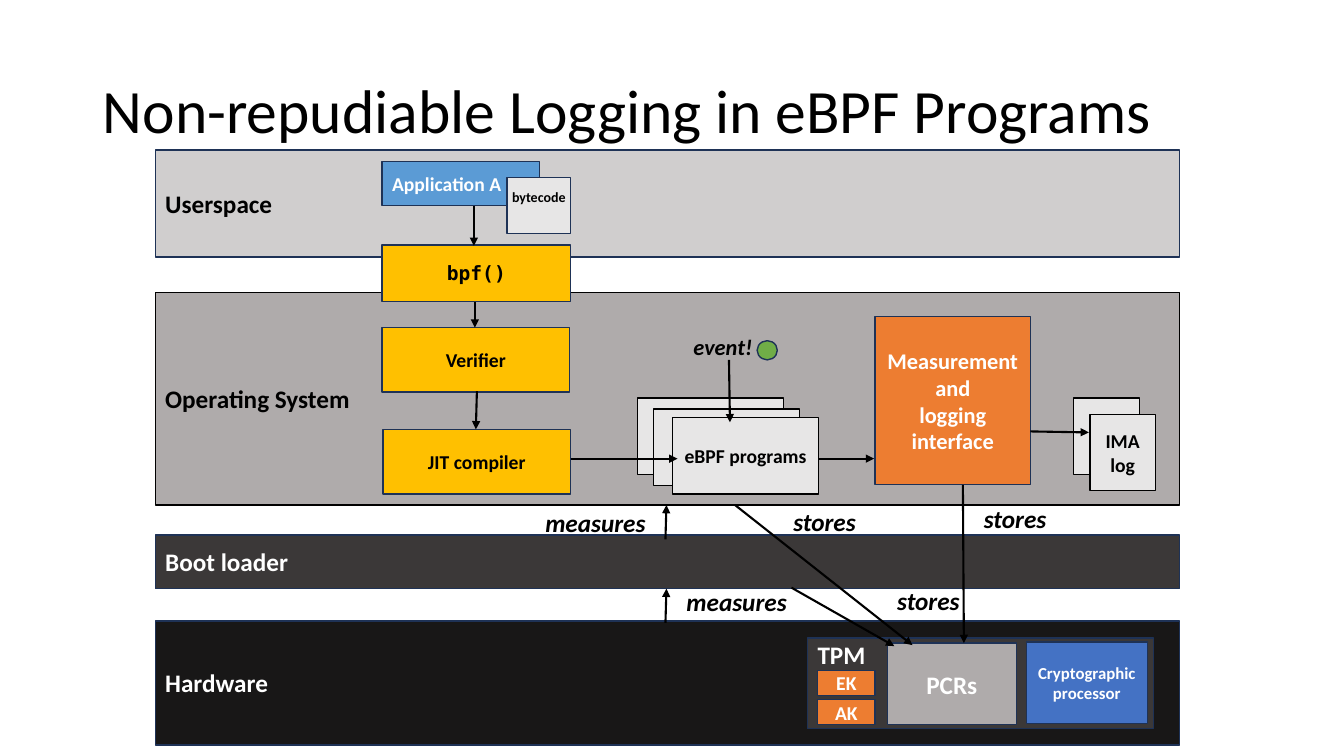
from lxml import etree
from pptx import Presentation
from pptx import util as u
from pptx.dml.color import RGBColor
from pptx.enum import shapes, text
from pptx.oxml.ns import qn

HUES = {
    "black": "000000", "white": "FFFFFF", "navy": "1E3256",
    "ink": "181717", "coal": "3B3838", "gray": "AFABAB",
    "mist": "D0CECE", "pale": "E7E6E6", "gold": "FFC000",
    "sky": "5B9BD5", "blue": "4472C4", "rust": "ED7D31", "green": "70AD47",
}
LEFT, MID = text.PP_ALIGN.LEFT, text.PP_ALIGN.CENTER


def hue(name):
    return RGBColor.from_string(HUES[name])


def write(frame, words, size=18, color="black", bold=True, italic=False,
          font="Calibri", align=LEFT, space=None):
    """Fill a text frame, one paragraph for each line of words."""
    frame.word_wrap = True
    for i, line in enumerate(words.split("\n")):
        para = frame.add_paragraph() if i else frame.paragraphs[0]
        para.alignment = align
        if space:
            para.line_spacing = space
        run = para.add_run()
        run.text = line
        face = run.font
        face.name, face.size = font, u.Pt(size)
        face.bold, face.italic = bold, italic
        face.color.rgb = hue(color)


class Deck:
    def __init__(self, wide, high):
        self.pres = Presentation()
        self.pres.slide_width = u.Inches(wide)
        self.pres.slide_height = u.Inches(high)
        self.slide = self.pres.slides.add_slide(self.pres.slide_layouts[5])
        self.items = self.slide.shapes

    def title(self, words, *at):
        head = self.items.title
        head.left, head.top, head.width, head.height = map(u.Inches, at)
        head.text_frame.auto_size = text.MSO_AUTO_SIZE.NONE
        head.text_frame.vertical_anchor = text.MSO_ANCHOR.MIDDLE
        write(head.text_frame, words, size=44, bold=False, space=0.9)

    def box(self, at, fill, words="", edge="navy", kind="RECTANGLE", **form):
        item = self.items.add_shape(shapes.MSO_SHAPE[kind], *map(u.Inches, at))
        item.shadow.inherit = False
        item.fill.solid()
        item.fill.fore_color.rgb = hue(fill)
        item.line.color.rgb = hue(edge)
        item.line.width = u.Pt(1)
        if words:
            item.text_frame.vertical_anchor = text.MSO_ANCHOR.MIDDLE
            write(item.text_frame, words, **{"align": MID, "size": 14, **form})

    def label(self, at, words, **form):
        item = self.items.add_textbox(*map(u.Inches, at))
        write(item.text_frame, words, **form)

    def arrow(self, *ends):
        item = self.items.add_connector(
            shapes.MSO_CONNECTOR.STRAIGHT, *map(u.Inches, ends))
        item.line.color.rgb = hue("black")
        item.line.width = u.Pt(1.5)
        etree.SubElement(item.line._get_or_add_ln(), qn("a:tailEnd"),
                         type="triangle")
        etree.SubElement(item._element.spPr, qn("a:effectLst"))


def layers(deck):
    for top, high, fill, words, color, edge in [
        (6.16, 1.23, "ink", "Hardware", "white", "navy"),
        (2.9, 2.11, "gray", "Operating System", "black", "black"),
        (1.49, 1.06, "mist", "Userspace", "black", "navy"),
        (5.31, 0.53, "coal", "Boot loader", "white", "navy"),
    ]:
        deck.box((1.54, top, 10.16, high), fill, words, edge,
                 size=18, color=color, align=LEFT)


def loading(deck):
    deck.box((3.79, 2.43, 1.87, 0.56), "gold", "bpf()",
             font="DejaVu Sans Mono")
    deck.box((3.79, 3.25, 1.86, 0.64), "gold", "Verifier")
    deck.box((3.8, 4.26, 1.86, 0.64), "gold", "JIT compiler")
    deck.box((3.79, 1.6, 1.56, 0.44), "sky", "Application A",
             color="white", align=LEFT)
    deck.box((5.03, 1.76, 0.63, 0.56), "pale")
    deck.label((4.98, 1.82, 0.82, 0.27), "bytecode", size=10)


def logging(deck):
    for x, y, words in [(6.32, 3.95, ""), (6.48, 4.06, ""),
                        (6.67, 4.14, "eBPF programs")]:
        deck.box((x, y, 1.45, 0.76), "pale", words, "black")
    deck.box((7.51, 3.38, 0.2, 0.19), "green", kind="OVAL")
    deck.label((6.78, 3.26, 1.23, 0.37), "event!", size=16, italic=True)
    deck.box((8.68, 3.14, 1.54, 1.67), "rust",
             "Measurement and\nlogging interface", size=16, color="white")
    for x, y, words in [(10.65, 3.95, ""), (10.81, 4.11, "IMA\nlog")]:
        deck.box((x, y, 0.65, 0.76), "pale", words, "black")


def chip(deck):
    deck.box((8.01, 6.33, 3.43, 0.9), "coal")
    deck.label((8.01, 6.29, 0.78, 0.4), "TPM", color="white")
    for y, key in [(6.65, "EK"), (6.94, "AK")]:
        deck.box((8.11, y, 0.57, 0.25), "rust", key, color="white")
    deck.box((8.8, 6.38, 1.28, 0.81), "gray", "PCRs", size=18, color="white")
    deck.box((10.18, 6.37, 1.2, 0.81), "blue", "Cryptographic processor",
             size=12, color="white")


def flows(deck):
    for ends in [
        (4.7, 2.04, 4.7, 2.44), (4.71, 3, 4.71, 3.25),
        (4.73, 3.88, 4.72, 4.26), (5.66, 4.55, 6.72, 4.55),
        (7.23, 3.57, 7.24, 4.19), (8.12, 4.55, 8.67, 4.55),
        (10.22, 4.28, 10.8, 4.29), (6.6, 6.18, 6.61, 5.84),
        (6.6, 5.35, 6.61, 5.01), (7.85, 5.83, 8.87, 6.41),
        (7.29, 5.01, 9.05, 6.4), (9.55, 4.81, 9.56, 6.38),
    ]:
        deck.arrow(*ends)
    for x, y, words in [
        (6.71, 5.77, "measures"), (5.31, 4.98, "measures"),
        (7.77, 4.97, "stores"), (8.8, 5.76, "stores"), (9.66, 4.94, "stores"),
    ]:
        deck.label((x, y, 1.6, 0.4), words, italic=True)


def main():
    deck = Deck(13.33, 7.5)
    deck.title("Non-repudiable Logging in eBPF Programs",
               0.92, 0.4, 11.5, 1.45)
    for part in (layers, loading, logging, chip, flows):
        part(deck)
    deck.pres.save("out.pptx")


if __name__ == "__main__":
    main()
